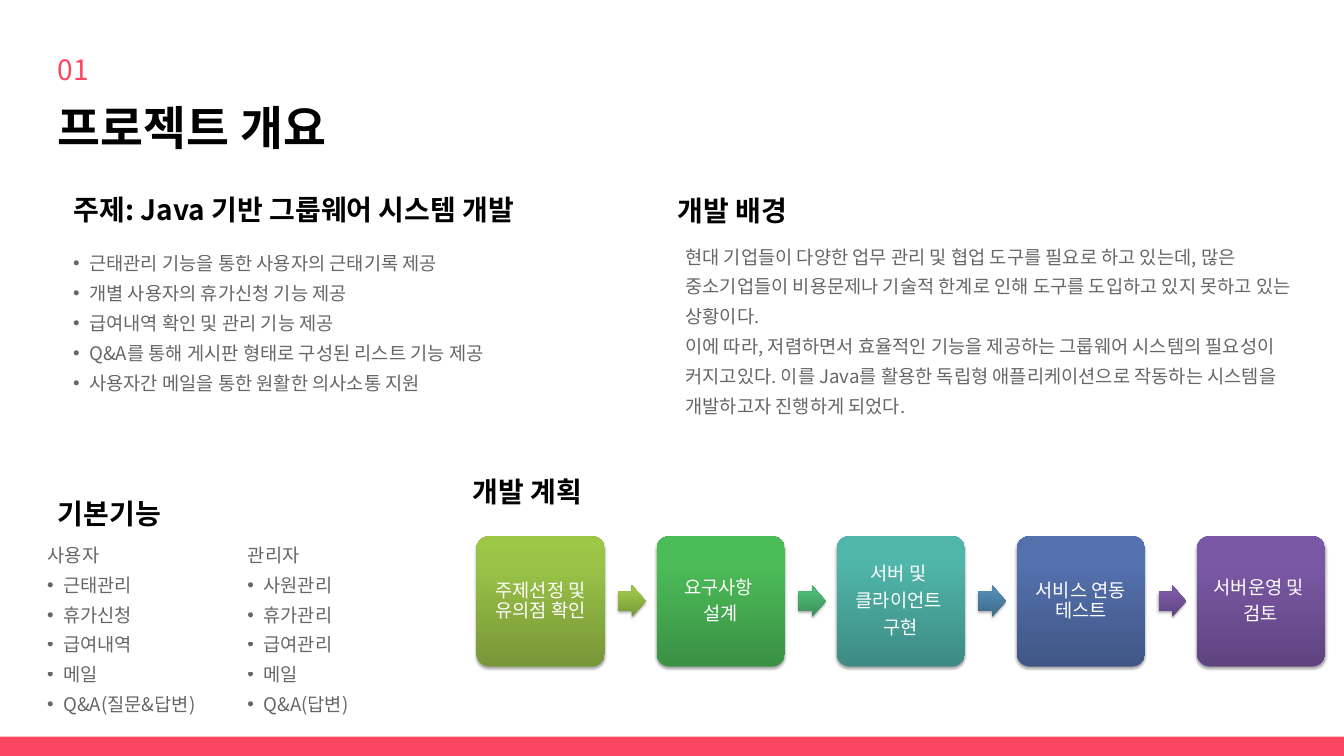
import pptx
import pptx.util
import pptx.dml.color
import pptx.enum.shapes
import pptx.enum.text
import pptx.oxml
import pptx.oxml.ns
import lxml.etree

Inches = pptx.util.Inches
Pt = pptx.util.Pt
RGBColor = pptx.dml.color.RGBColor
Shape = pptx.enum.shapes.MSO_SHAPE
Align = pptx.enum.text.PP_ALIGN
qn = pptx.oxml.ns.qn

ACCENT = RGBColor(0xFC, 0x45, 0x61)
BLACK = RGBColor(0, 0, 0)
WHITE = RGBColor(0xFF, 0xFF, 0xFF)
LIME = [RGBColor.from_string(c) for c in ("779737", "9BC348", "9DC746")]
GREEN = [RGBColor.from_string(c) for c in ("3A9144", "4CBC58", "4ABF57")]
MINT = [RGBColor.from_string(c) for c in ("3B8F5A", "4DBA75", "4BBD75")]
TEAL = [RGBColor.from_string(c) for c in ("3D8B83", "50B5AA", "4EB8AC")]
STEEL = [RGBColor.from_string(c) for c in ("3F6A88", "528AB0", "518BB3")]
BLUE = [RGBColor.from_string(c) for c in ("405786", "5471AE", "5271B0")]
PURPLE = [RGBColor.from_string(c) for c in ("5F4480", "7B58A6", "7C57A8")]

FONT = "Noto Sans CJK SC"
TITLE = {"size": Pt(50), "bold": True, "name": FONT}
NUMBER = {"size": Pt(30), "name": FONT}
HEADING = {"size": Pt(30), "bold": True, "name": FONT}
BODY = {"size": Pt(20), "name": FONT}
STEP = {"size": Pt(20), "name": "Calibri"}

USER_FEATURES = ["근태관리", "휴가신청", "급여내역", "메일", "Q&A(질문&답변)"]
ADMIN_FEATURES = ["사원관리", "휴가관리", "급여관리", "메일", "Q&A(답변)"]
GOALS = [
    "근태관리 기능을 통한 사용자의 근태기록 제공",
    "개별 사용자의 휴가신청 기능 제공",
    "급여내역 확인 및 관리 기능 제공",
    "Q&A를 통해 게시판 형태로 구성된 리스트 기능 제공",
    "사용자간 메일을 통한 원활한 의사소통 지원",
]
BACKGROUND = [
    "현대 기업들이 다양한 업무 관리 및 협업 도구를 필요로 하고 있는데, 많은 중소기업들이 "
    "비용문제나 기술적 한계로 인해 도구를 도입하고 있지 못하고 있는 상황이다.",
    "이에 따라, 저렴하면서 효율적인 기능을 제공하는 그룹웨어 시스템의 필요성이 커지고있다. "
    "이를 Java를 활용한 독립형 애플리케이션으로 작동하는 시스템을 개발하고자 진행하게 되었다.",
]
STEPS = [
    (["주제선정 및 유의점 확인"], LIME, LIME),
    (["요구사항 ", "설계"], GREEN, MINT),
    (["서버 및 ", "클라이언트 ", "구현"], TEAL, STEEL),
    (["서비스 연동 테스트"], BLUE, PURPLE),
    (["서버운영 및 ", "검토"], PURPLE, None),
]
STEP_LEFT, STEP_PITCH = 7.09, 2.68


def add_child(parent, tag, **attributes):
    child = lxml.etree.SubElement(parent, qn(tag))
    for name, value in attributes.items():
        child.set(name, str(value))
    return child


def add_run(paragraph, text, style, color, alpha=None):
    run = paragraph.add_run()
    run.text = text
    for name, value in style.items():
        setattr(run.font, name, value)
    run.font.color.rgb = color
    properties = run.font._element
    if alpha:
        color_element = properties.find(".//" + qn("a:srgbClr"))
        add_child(color_element, "a:alpha", val=alpha * 1000)
    if style["name"] == FONT:
        add_child(properties, "a:ea", typeface=FONT)


def add_text_box(slide, left, top, width, height):
    box = slide.shapes.add_textbox(Inches(left), Inches(top), Inches(width), Inches(height))
    frame = box.text_frame
    for side in ("left", "top", "right", "bottom"):
        setattr(frame, "margin_" + side, 0)
    frame.word_wrap = True
    frame.auto_size = pptx.enum.text.MSO_AUTO_SIZE.SHAPE_TO_FIT_TEXT
    return frame


def add_heading(slide, position, text, style, spacing, color=BLACK, align=Align.LEFT):
    paragraph = add_text_box(slide, *position).paragraphs[0]
    paragraph.alignment = align
    paragraph.line_spacing = Pt(spacing)
    add_run(paragraph, text, style, color)


def add_body(slide, position, plain=(), bullets=()):
    frame = add_text_box(slide, *position)
    lines = [(text, False) for text in plain] + [(text, True) for text in bullets]
    for index, (text, bulleted) in enumerate(lines):
        paragraph = frame.add_paragraph() if index else frame.paragraphs[0]
        paragraph.level = 1
        properties = paragraph._p.get_or_add_pPr()
        properties.set("marL", str(Inches(0.47 if bulleted else 0.24)))
        properties.set("indent", str(Inches(-0.24 if bulleted else 0)))
        if bulleted:
            add_child(properties, "a:buFont", typeface="Arial")
            add_child(properties, "a:buChar", char="•")
        else:
            add_child(properties, "a:buNone")
        paragraph.line_spacing = Pt(32)
        add_run(paragraph, text, BODY, BLACK, alpha=60)


def add_gradient_shape(slide, kind, position, adjustments, colors):
    shape = slide.shapes.add_shape(kind, *map(Inches, position))
    for index, value in enumerate(adjustments):
        shape.adjustments[index] = value
    shape.line.fill.background()
    shape.fill.gradient()
    gradient = shape._element.spPr.find(qn("a:gradFill"))
    for child in list(gradient):
        gradient.remove(child)
    stops = add_child(gradient, "a:gsLst")
    for position_percent, color in zip((0, 80, 100), colors):
        stop = add_child(stops, "a:gs", pos=position_percent * 1000)
        add_child(stop, "a:srgbClr", val=color)
    add_child(gradient, "a:lin", ang=270 * 60000, scaled=0)
    shape.shadow.inherit = False
    effects = shape._element.spPr.find(qn("a:effectLst"))
    shadow = add_child(effects, "a:outerShdw", blurRad=Pt(3.1), dist=Pt(1.8),
                       dir=90 * 60000, rotWithShape=0)
    add_child(add_child(shadow, "a:srgbClr", val=BLACK), "a:alpha", val=35000)
    return shape


def add_step(slide, left, lines, card_colors, arrow_colors):
    card = add_gradient_shape(slide, Shape.ROUNDED_RECTANGLE, (left, 7.98, 1.91, 1.94),
                              [0.1], card_colors)
    frame = card.text_frame
    for side in ("left", "top", "right", "bottom"):
        setattr(frame, "margin_" + side, Inches(0.08))
    frame.word_wrap = True
    frame.vertical_anchor = pptx.enum.text.MSO_ANCHOR.MIDDLE
    for index, text in enumerate(lines):
        paragraph = frame.add_paragraph() if index else frame.paragraphs[0]
        paragraph.alignment = Align.CENTER
        paragraph.line_spacing = 0.9
        paragraph.space_after = Pt(7)
        add_run(paragraph, text, STEP, WHITE)
    if arrow_colors:
        add_gradient_shape(slide, Shape.RIGHT_ARROW, (left + 2.11, 8.71, 0.41, 0.47),
                           [0.6, 0.5], arrow_colors)


def add_footer_bar(slide):
    bar = slide.shapes.add_shape(Shape.RECTANGLE, 0, Inches(10.96), Inches(20), Inches(0.29))
    bar.shadow.inherit = False
    bar.fill.solid()
    bar.fill.fore_color.rgb = ACCENT
    bar.line.fill.background()


def main():
    presentation = pptx.Presentation()
    presentation.slide_width = Inches(20)
    presentation.slide_height = Inches(11.25)
    slide = presentation.slides.add_slide(presentation.slide_layouts[6])

    add_footer_bar(slide)
    add_heading(slide, (0.86, 1.33, 4.03, 0.94), "프로젝트 개요", TITLE, 70)
    add_heading(slide, (0.86, 0.7, 1.05, 0.55), "01", NUMBER, 42, ACCENT)
    add_heading(slide, (0.86, 7.31, 1.65, 0.55), "기본기능", HEADING, 42)
    for position, text in (
        ((0.25, 2.88, 8.25, 0.49), "주제: Java 기반 그룹웨어 시스템 개발"),
        ((9.9, 2.89, 2, 0.49), "개발 배경"),
        ((6.85, 7.07, 2, 0.49), "개발 계획"),
    ):
        add_heading(slide, position, text, HEADING, 35, align=Align.CENTER)

    add_body(slide, (0.86, 3.64, 6.99, 2.2), bullets=GOALS)
    add_body(slide, (9.96, 3.54, 9.77, 2.65), plain=BACKGROUND)
    add_body(slide, (0.47, 7.98, 2.89, 2.65), ["사용자"], USER_FEATURES)
    add_body(slide, (3.45, 7.98, 2.89, 2.65), ["관리자"], ADMIN_FEATURES)
    for index, step in enumerate(STEPS):
        add_step(slide, STEP_LEFT + index * STEP_PITCH, *step)

    presentation.save("out.pptx")


if __name__ == "__main__":
    main()
